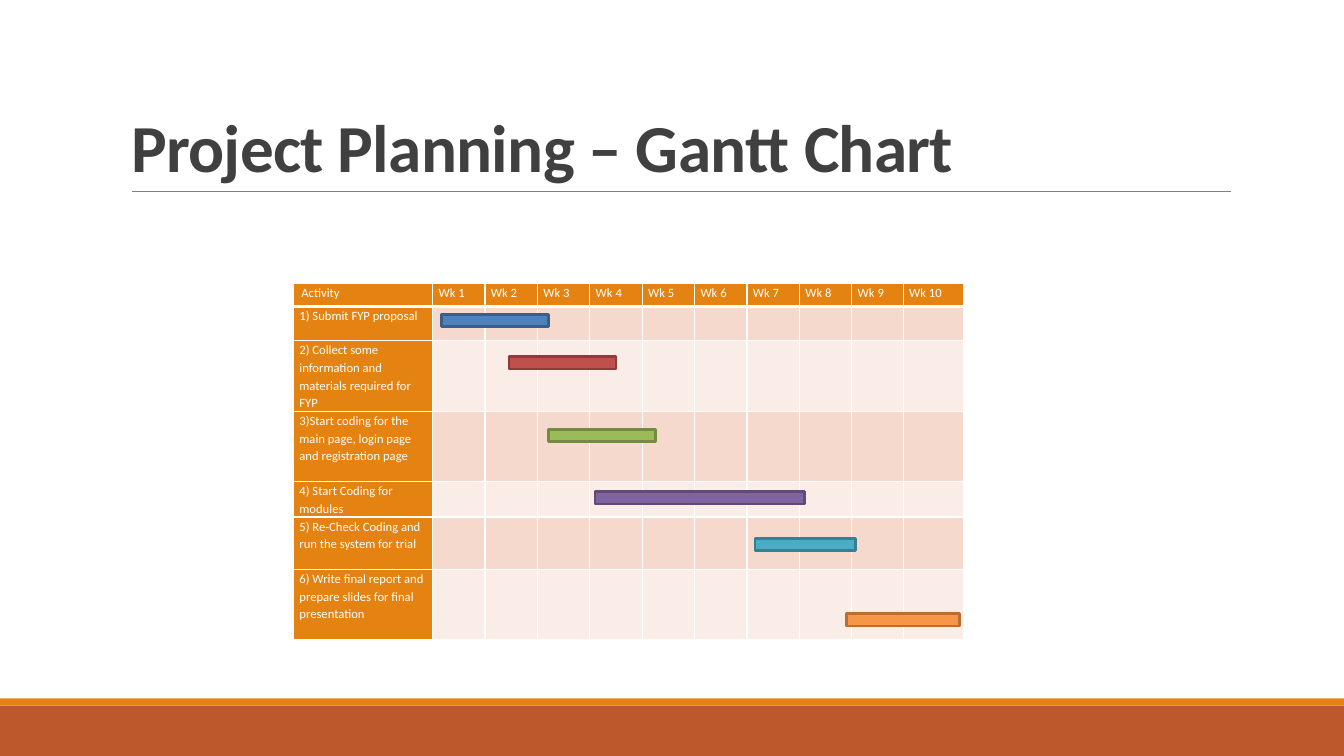
from dataclasses import dataclass

from lxml import etree
from pptx import Presentation
from pptx.dml.color import RGBColor
from pptx.enum.shapes import MSO_CONNECTOR, MSO_SHAPE
from pptx.enum.text import MSO_ANCHOR, PP_ALIGN
from pptx.oxml.ns import qn
from pptx.util import Inches, Pt

RECTANGLE = MSO_SHAPE.RECTANGLE
STRAIGHT = MSO_CONNECTOR.STRAIGHT
LEFT = PP_ALIGN.LEFT
TOP, BOTTOM = MSO_ANCHOR.TOP, MSO_ANCHOR.BOTTOM

SLIDE_WIDTH, SLIDE_HEIGHT = 13.33, 7.5


@dataclass(frozen=True)
class Theme:
    font: str = "Calibri"
    title_size: float = 48
    table_size: float = 9
    title: str = "404040"
    white: str = "FFFFFF"
    rule: str = "808080"
    accent: str = "E48312"
    footer: str = "BD582C"
    bands: tuple = ("F5D9CC", "FAEDE7")


THEME = Theme()

# Gantt grid: column widths and row heights in inches
ACTIVITY_WIDTH, WEEK_WIDTH = 1.38, 0.52
COLUMN_WIDTHS = [ACTIVITY_WIDTH] + [WEEK_WIDTH] * 8 + [0.51, 0.6]
HEADER_HEIGHT, BAR_HEIGHT = 0.23, 0.12
HEADERS = ["Activity"] + [f"Wk {week}" for week in range(1, 11)]

# Activity, row height, bar start and length in weeks, bar drop in row, fill, line
ACTIVITIES = [
    ("1) Submit FYP proposal", 0.34, 0.17, 2.04, 0.08, "4F81BD", "3A5F8C"),
    ("2) Collect some information and materials required for FYP",
     0.7, 1.46, 2.04, 0.16, "C0504D", "8E3B39"),
    ("3)Start coding for the main page, login page and registration page",
     0.7, 2.21, 2.04, 0.18, "9BBB59", "738A42"),
    ("4) Start Coding for modules", 0.34, 3.1, 4, 0.1, "8064A2", "5F4A78"),
    ("5) Re-Check Coding and run the system for trial",
     0.52, 6.15, 1.92, 0.22, "4BACC6", "377F92"),
    ("6) Write final report and prepare slides for final presentation",
     0.7, 7.9, 2.15, 0.45, "F79646", "B76F34"),
]


def color(value):
    return RGBColor.from_string(value)


def write_text(text_frame, text, *, size, fill, bold=False, line_spacing=1.0,
               space_after=0, tracking=None):
    paragraph = text_frame.paragraphs[0]
    paragraph.alignment = LEFT
    paragraph.line_spacing = line_spacing
    paragraph.space_after = Pt(space_after)
    run = paragraph.add_run()
    run.text = text
    run.font.name = THEME.font
    run.font.size = Pt(size)
    run.font.bold = bold
    run.font.color.rgb = color(fill)
    if tracking is not None:
        run.font._element.set("spc", str(int(tracking * 100)))


def add_rectangle(slide, left, top, width, height, fill, line=None):
    shape = slide.shapes.add_shape(
        RECTANGLE, Inches(left), Inches(top), Inches(width), Inches(height))
    shape.shadow.inherit = False
    shape.fill.solid()
    shape.fill.fore_color.rgb = color(fill)
    if line:
        shape.line.color.rgb = color(line)
        shape.line.width = Pt(2)
    else:
        shape.line.fill.background()


def add_footer(slide, top, height):
    stripe = 0.07
    add_rectangle(slide, 0, top + stripe, SLIDE_WIDTH, height - stripe, THEME.footer)
    add_rectangle(slide, 0, top, SLIDE_WIDTH, stripe, THEME.accent)


def add_title(slide, text, left, top, width, height):
    title = slide.shapes.title
    title.left, title.top = Inches(left), Inches(top)
    title.width, title.height = Inches(width), Inches(height)
    title.text_frame.word_wrap = True
    title.text_frame.vertical_anchor = BOTTOM
    write_text(title.text_frame, text, size=THEME.title_size, fill=THEME.title,
               bold=True, line_spacing=0.85, tracking=-0.5)
    # Rule under the title
    rule_left, rule_top = left + 0.11, top + height
    rule = slide.shapes.add_connector(
        STRAIGHT, Inches(rule_left), Inches(rule_top),
        Inches(rule_left + 10.9), Inches(rule_top))
    rule.line.color.rgb = color(THEME.rule)
    rule.line.width = Pt(0.5)
    etree.SubElement(rule._element.spPr, qn("a:effectLst"))


def set_borders(cell, bottom_width):
    properties = cell._tc.get_or_add_tcPr()
    widths = {"a:lnL": 1, "a:lnR": 1, "a:lnT": 1, "a:lnB": bottom_width}
    for index, (tag, width) in enumerate(widths.items()):
        border = etree.Element(qn(tag), w=str(Pt(width)))
        fill = etree.SubElement(border, qn("a:solidFill"))
        etree.SubElement(fill, qn("a:srgbClr"), val=THEME.white)
        properties.insert(index, border)


def format_cell(cell, text, fill, bottom_width):
    cell.margin_left = cell.margin_right = Inches(0.06)
    cell.margin_top = cell.margin_bottom = 0
    cell.vertical_anchor = TOP
    cell.fill.solid()
    cell.fill.fore_color.rgb = color(fill)
    set_borders(cell, bottom_width)
    if text:
        write_text(cell.text_frame, text, size=THEME.table_size, fill=THEME.white,
                   line_spacing=1.15, space_after=10)


def add_gantt_table(slide, left, top):
    heights = [HEADER_HEIGHT] + [activity[1] for activity in ACTIVITIES]
    table = slide.shapes.add_table(
        len(heights), len(COLUMN_WIDTHS), Inches(left), Inches(top),
        Inches(sum(COLUMN_WIDTHS)), Inches(sum(heights))).table
    table.first_row = table.horz_banding = False
    for column, width in zip(table.columns, COLUMN_WIDTHS):
        column.width = Inches(width)
    for row_index, height in enumerate(heights):
        table.rows[row_index].height = Inches(height)
        for column_index, header in enumerate(HEADERS):
            text, fill = "", THEME.bands[(row_index - 1) % 2]
            if row_index == 0:
                text, fill = header, THEME.accent
            elif column_index == 0:
                text, fill = ACTIVITIES[row_index - 1][0], THEME.accent
            format_cell(table.cell(row_index, column_index), text, fill,
                        bottom_width=3 if row_index == 0 else 1)
    table.cell(0, 0).margin_left = Inches(0.08)


def add_gantt_bars(slide, left, top):
    row_top = top + HEADER_HEIGHT
    for _, height, start, length, drop, fill, line in ACTIVITIES:
        add_rectangle(slide, left + ACTIVITY_WIDTH + start * WEEK_WIDTH,
                      row_top + drop, length * WEEK_WIDTH, BAR_HEIGHT, fill, line)
        row_top += height


def main():
    presentation = Presentation()
    presentation.slide_width = Inches(SLIDE_WIDTH)
    presentation.slide_height = Inches(SLIDE_HEIGHT)
    slide = presentation.slides.add_slide(presentation.slide_layouts[5])
    add_footer(slide, top=6.93, height=0.57)
    add_title(slide, "Project Planning – Gantt Chart", 1.2, 0.31, 11, 1.59)
    add_gantt_table(slide, left=2.91, top=2.81)
    add_gantt_bars(slide, left=2.91, top=2.81)
    presentation.save("out.pptx")


if __name__ == "__main__":
    main()
